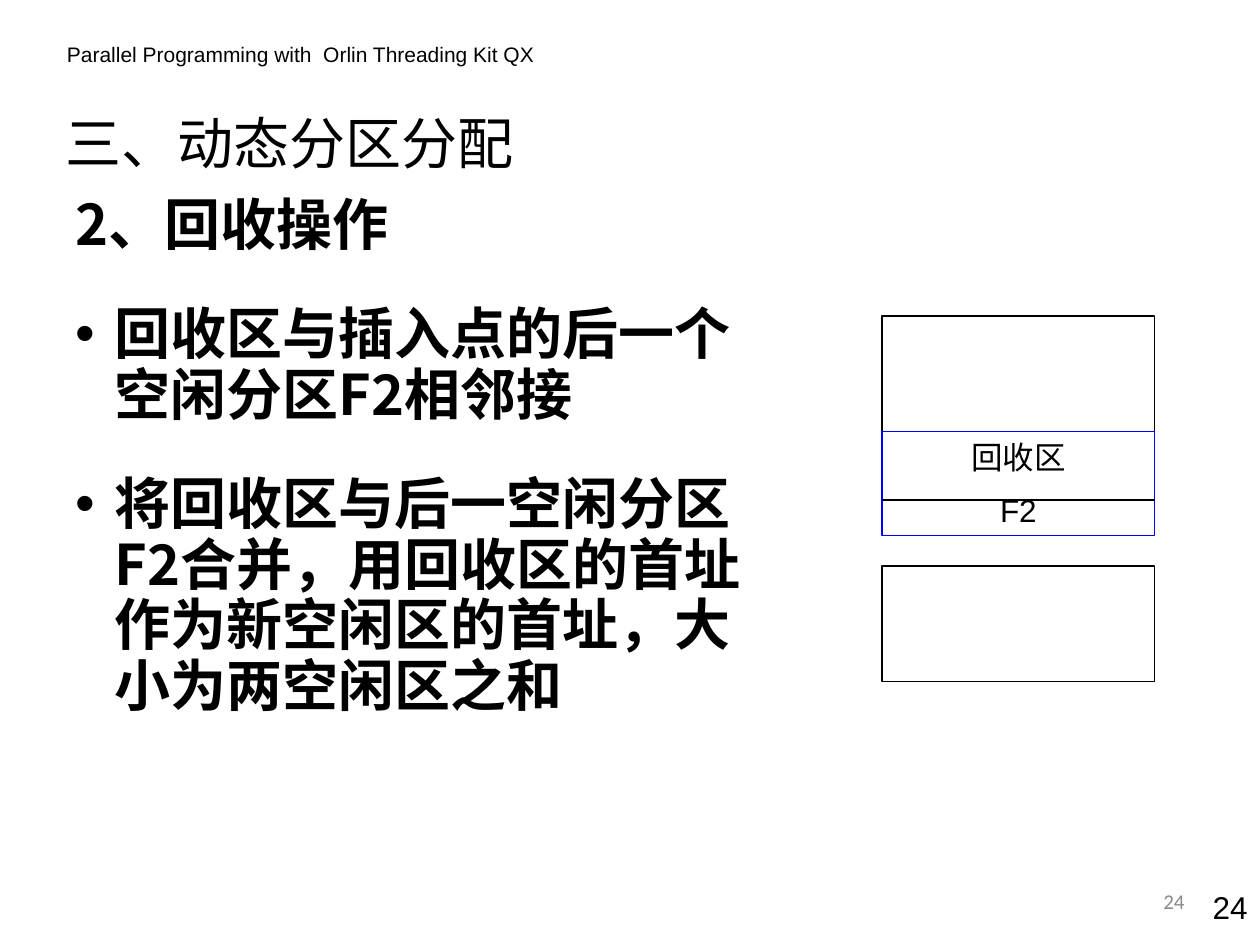
import pptx
import pptx.dml.color
import pptx.enum.shapes
import pptx.enum.text
import pptx.oxml
import pptx.oxml.ns
import pptx.util
import lxml.etree

Cm, Pt = pptx.util.Cm, pptx.util.Pt
ALIGN = pptx.enum.text.PP_ALIGN
ANCHOR = pptx.enum.text.MSO_ANCHOR
SHAPE = pptx.enum.shapes.MSO_SHAPE
BLACK = pptx.dml.color.RGBColor(0, 0, 0)
BLUE = pptx.dml.color.RGBColor(0, 0, 255)
GRAY = pptx.dml.color.RGBColor(0x89, 0x89, 0x89)
HAN_FONT = "Noto Sans CJK SC"
LINE_WIDTH = Pt(0.74)

# Text boxes: lines, left, top, width, height (cm), style
LABELS = [
    (["Parallel Programming with  Orlin Threading Kit QX"], 1.1, 0.72, 10.41, 0.76,
     dict(size=12)),
    (["三、动态分区分配"], 1.07, 1.92, 14.4, 1.9,
     dict(size=32, font=HAN_FONT, anchor=ANCHOR.MIDDLE)),
    (["24"], 23.7, 17.78, 1.7, 1.02, dict(size=18, align=ALIGN.RIGHT, before=11.2)),
    (["24"], 18.21, 17.65, 5.92, 1.02,
     dict(size=12, font="Calibri", color=GRAY, align=ALIGN.RIGHT, anchor=ANCHOR.MIDDLE)),
]
BODY = [
    "2、回收操作",
    "回收区与插入点的后一个空闲分区F2相邻接",
    "将回收区与后一空闲分区F2合并，用回收区的首址作为新空闲区的首址，大小为两空闲区之和",
]
BODY_AREA = (1.27, 3.84, 13.97, 11.63)

# Memory blocks: top, height (cm), outline, lines
MEMORY_LEFT, MEMORY_WIDTH = 17.78, 5.5
MEMORY = [
    (6.37, 2.33, BLACK, []),
    (11.41, 2.33, BLACK, []),
    (8.7, 2.1, BLUE, ["回收区", "F2"]),
]
DIVIDER_TOP = 10.08


def write(box, lines, size, font="Arial", color=BLACK, align=ALIGN.LEFT,
          anchor=ANCHOR.TOP, before=0, bold=False, spacing=None):
    """Fill a shape with one paragraph per line and return the paragraphs."""
    frame = box.text_frame
    frame.word_wrap = True
    frame.vertical_anchor = anchor
    for number, line in enumerate(lines):
        para = frame.paragraphs[0] if number == 0 else frame.add_paragraph()
        para.alignment = align
        para.space_before = Pt(before)
        if spacing:
            para.line_spacing = spacing
        span = para.add_run()
        span.text = line
        span.font.size, span.font.name, span.font.bold = Pt(size), font, bold
        span.font.color.rgb = color
        if font == HAN_FONT:
            east = lxml.etree.SubElement(span.font._element, pptx.oxml.ns.qn("a:ea"))
            east.set("typeface", font)
    return frame.paragraphs


def add_label(page, lines, left, top, width, height, **style):
    """Add a text box and return its paragraphs."""
    box = page.shapes.add_textbox(Cm(left), Cm(top), Cm(width), Cm(height))
    return write(box, lines, **style)


def add_bullet(para):
    """Give a paragraph a round bullet with a hanging indent."""
    props = para._p.get_or_add_pPr()
    props.set("marL", str(Cm(0.79)))
    props.set("indent", str(-Cm(0.79)))
    for tag, key, value in (("a:buFont", "typeface", "Arial"), ("a:buChar", "char", "•")):
        lxml.etree.SubElement(props, pptx.oxml.ns.qn(tag)).set(key, value)


def add_block(page, top, height, outline, lines):
    """Add one block of the memory diagram."""
    box = page.shapes.add_shape(SHAPE.RECTANGLE, Cm(MEMORY_LEFT), Cm(top),
                                Cm(MEMORY_WIDTH), Cm(height))
    box.shadow.inherit = False
    box.fill.background()
    box.line.color.rgb = outline
    box.line.width = LINE_WIDTH
    write(box, lines, size=18, align=ALIGN.CENTER, before=9)


def add_divider(page):
    """Draw the line between the recovered area and F2."""
    line = page.shapes.add_connector(
        pptx.enum.shapes.MSO_CONNECTOR.STRAIGHT, Cm(MEMORY_LEFT), Cm(DIVIDER_TOP),
        Cm(MEMORY_LEFT + MEMORY_WIDTH), Cm(DIVIDER_TOP))
    line.line.color.rgb = BLACK
    line.line.width = LINE_WIDTH
    lxml.etree.SubElement(line._element.spPr, pptx.oxml.ns.qn("a:effectLst"))


deck = pptx.Presentation()
deck.slide_width, deck.slide_height = Cm(25.4), Cm(19.05)
page = deck.slides.add_slide(deck.slide_layouts[6])
for lines, left, top, width, height, style in LABELS:
    add_label(page, lines, left, top, width, height, **style)
paras = add_label(page, BODY, *BODY_AREA, size=32, font=HAN_FONT, bold=True,
                  before=28, spacing=0.9)
for para in paras[1:]:
    add_bullet(para)
for block in MEMORY:
    add_block(page, *block)
add_divider(page)
deck.save("out.pptx")
